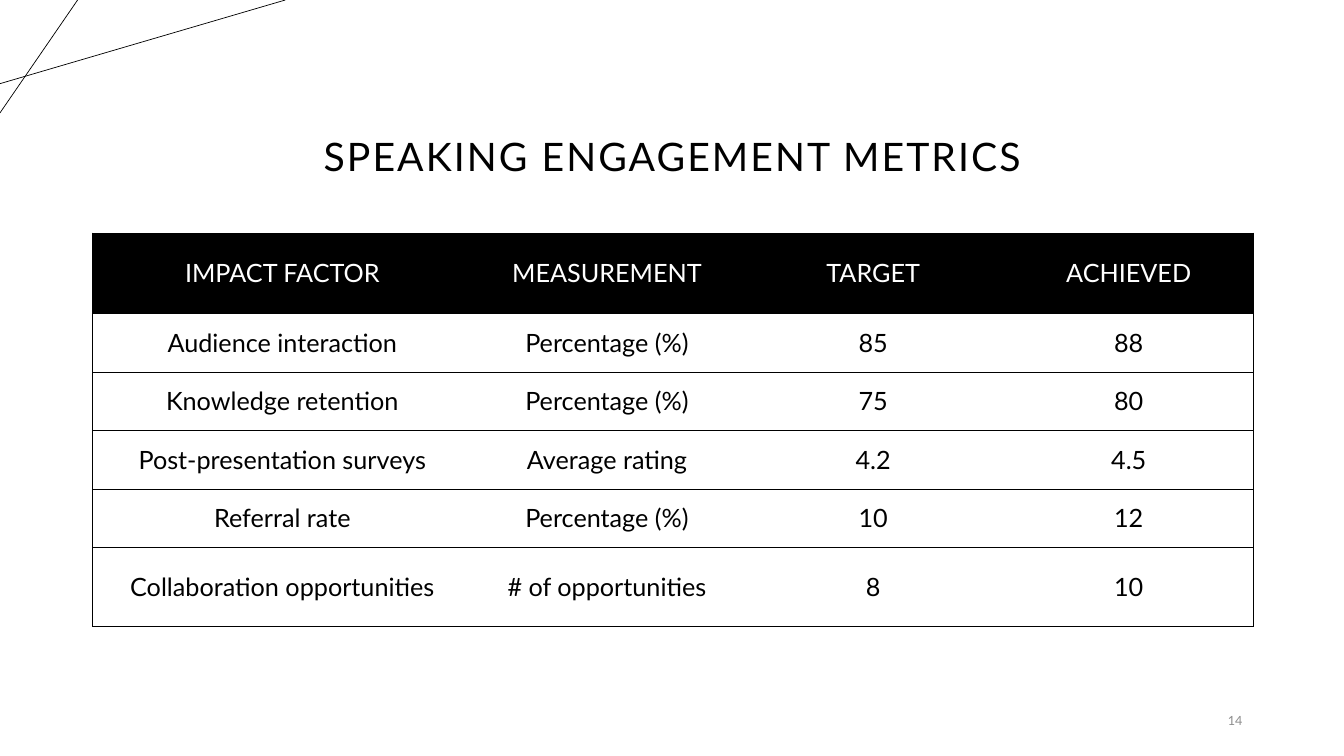
from dataclasses import dataclass

from lxml import etree
from pptx import Presentation
from pptx.dml.color import RGBColor
from pptx.enum import shapes, text
from pptx.oxml import ns
from pptx.slide import Slide
from pptx.table import _Cell
from pptx.text.text import TextFrame
from pptx.util import Inches, Pt

BLACK = RGBColor(0x00, 0x00, 0x00)
WHITE = RGBColor(0xFF, 0xFF, 0xFF)
GRAY = RGBColor(0x8C, 0x8C, 0x8C)
FONT = "Lato"
LINE_WIDTH = Pt(0.5)

LEFT, WIDTH = Inches(0.92), Inches(11.5)
COLUMN_WIDTHS = (3.76, 2.68, 2.6, 2.47)
HEADER_HEIGHT, ROW_HEIGHT, LAST_ROW_HEIGHT = 0.8, 0.58, 0.78
HEADERS = ("IMPACT FACTOR", "MEASUREMENT", "TARGET", "ACHIEVED")


@dataclass
class Metric:
    factor: str
    measurement: str
    target: str
    achieved: str

    def values(self) -> tuple[str, ...]:
        return self.factor, self.measurement, self.target, self.achieved


@dataclass
class CornerLine:
    x1: float
    y1: float
    x2: float
    y2: float


METRICS = (
    Metric("Audience interaction", "Percentage (%)", "85", "88"),
    Metric("Knowledge retention", "Percentage (%)", "75", "80"),
    Metric("Post-presentation surveys", "Average rating", "4.2", "4.5"),
    Metric("Referral rate", "Percentage (%)", "10", "12"),
    Metric("Collaboration opportunities", "# of opportunities", "8", "10"),
)
CORNER_LINES = (CornerLine(0, 0.83, 2.83, 0), CornerLine(0.77, 0, 0, 1.12))


def write(tf: TextFrame, words: str, size: float, color: RGBColor,
          align: text.PP_ALIGN = text.PP_ALIGN.CENTER) -> None:
    tf.text = words
    p = tf.paragraphs[0]
    p.alignment = align
    font = p.runs[0].font
    font.name, font.size, font.bold = FONT, Pt(size), False
    font.color.rgb = color


def add_corner_line(s: Slide, line: CornerLine) -> None:
    ends = (Inches(v) for v in (line.x1, line.y1, line.x2, line.y2))
    c = s.shapes.add_connector(shapes.MSO_CONNECTOR.STRAIGHT, *ends)
    c.line.color.rgb = BLACK
    c.line.width = LINE_WIDTH
    etree.SubElement(c._element.spPr, ns.qn("a:effectLst"))


def set_borders(cell: _Cell, visible: dict[str, bool]) -> None:
    """Draw or hide each side; call before filling, as the schema puts lines first."""
    tc_pr = cell._tc.get_or_add_tcPr()
    for side in ("L", "R", "T", "B"):
        ln = etree.SubElement(tc_pr, ns.qn(f"a:ln{side}"), w=str(LINE_WIDTH))
        if visible[side]:
            fill = etree.SubElement(ln, ns.qn("a:solidFill"))
            etree.SubElement(fill, ns.qn("a:srgbClr"), val=str(BLACK))
        else:
            etree.SubElement(ln, ns.qn("a:noFill"))


def add_title(s: Slide) -> None:
    title = s.shapes.title
    title.left, title.top = LEFT, Inches(0.39)
    title.width, title.height = WIDTH, Inches(1.45)
    tf = title.text_frame
    write(tf, "SPEAKING ENGAGEMENT METRICS", 28, BLACK)
    tf.vertical_anchor = text.MSO_ANCHOR.BOTTOM
    tf.paragraphs[0].line_spacing = 0.9
    tf.paragraphs[0].runs[0].font._element.set("spc", "150")


def add_metrics_table(s: Slide) -> None:
    rows = [HEADERS, *(m.values() for m in METRICS)]
    heights = [HEADER_HEIGHT, *[ROW_HEIGHT] * (len(METRICS) - 1), LAST_ROW_HEIGHT]
    table = s.shapes.add_table(len(rows), len(HEADERS), LEFT, Inches(2.31),
                               WIDTH, Inches(sum(heights))).table
    table.horz_banding = False
    for column, width in zip(table.columns, COLUMN_WIDTHS):
        column.width = Inches(width)
    for row, height in zip(table.rows, heights):
        row.height = Inches(height)
    for i, values in enumerate(rows):
        for j, value in enumerate(values):
            cell = table.cell(i, j)
            write(cell.text_frame, value, 18, BLACK if i else WHITE)
            cell.vertical_anchor = text.MSO_ANCHOR.MIDDLE
            set_borders(cell, {"L": j == 0, "R": j == len(values) - 1,
                               "T": True, "B": True})
            cell.fill.solid()
            cell.fill.fore_color.rgb = WHITE if i else BLACK


def add_slide_number(s: Slide) -> None:
    tf = s.shapes.add_textbox(Inches(11.34), Inches(6.95),
                              Inches(1.08), Inches(0.4)).text_frame
    tf.word_wrap = True
    tf.vertical_anchor = text.MSO_ANCHOR.MIDDLE
    write(tf, "14", 9, GRAY, text.PP_ALIGN.RIGHT)


def main() -> None:
    prs = Presentation()
    prs.slide_width, prs.slide_height = Inches(13.33), Inches(7.5)
    s = prs.slides.add_slide(prs.slide_layouts[5])
    s.background.fill.solid()
    s.background.fill.fore_color.rgb = WHITE
    for line in CORNER_LINES:
        add_corner_line(s, line)
    add_title(s)
    add_metrics_table(s)
    add_slide_number(s)
    prs.save("out.pptx")


if __name__ == "__main__":
    main()
